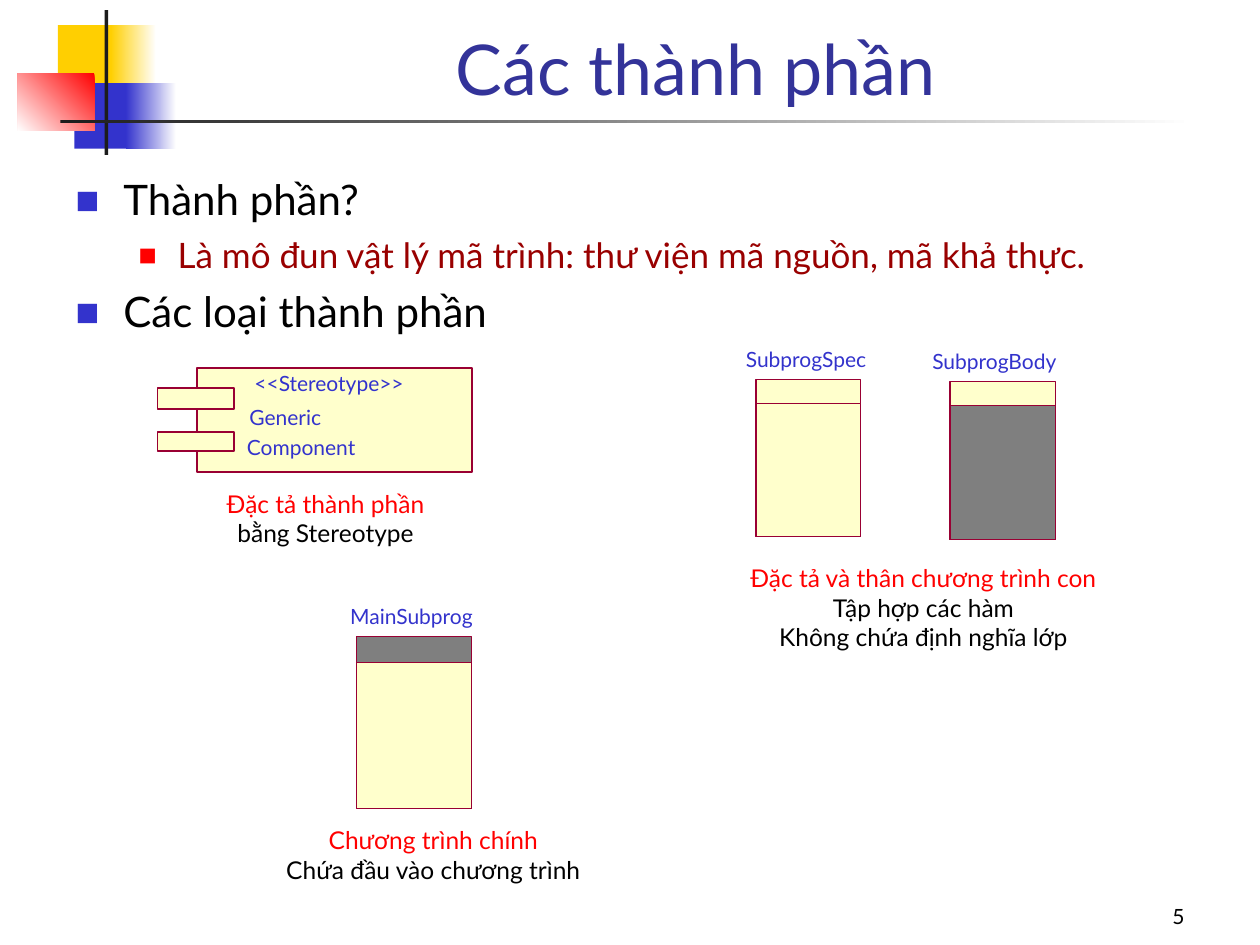
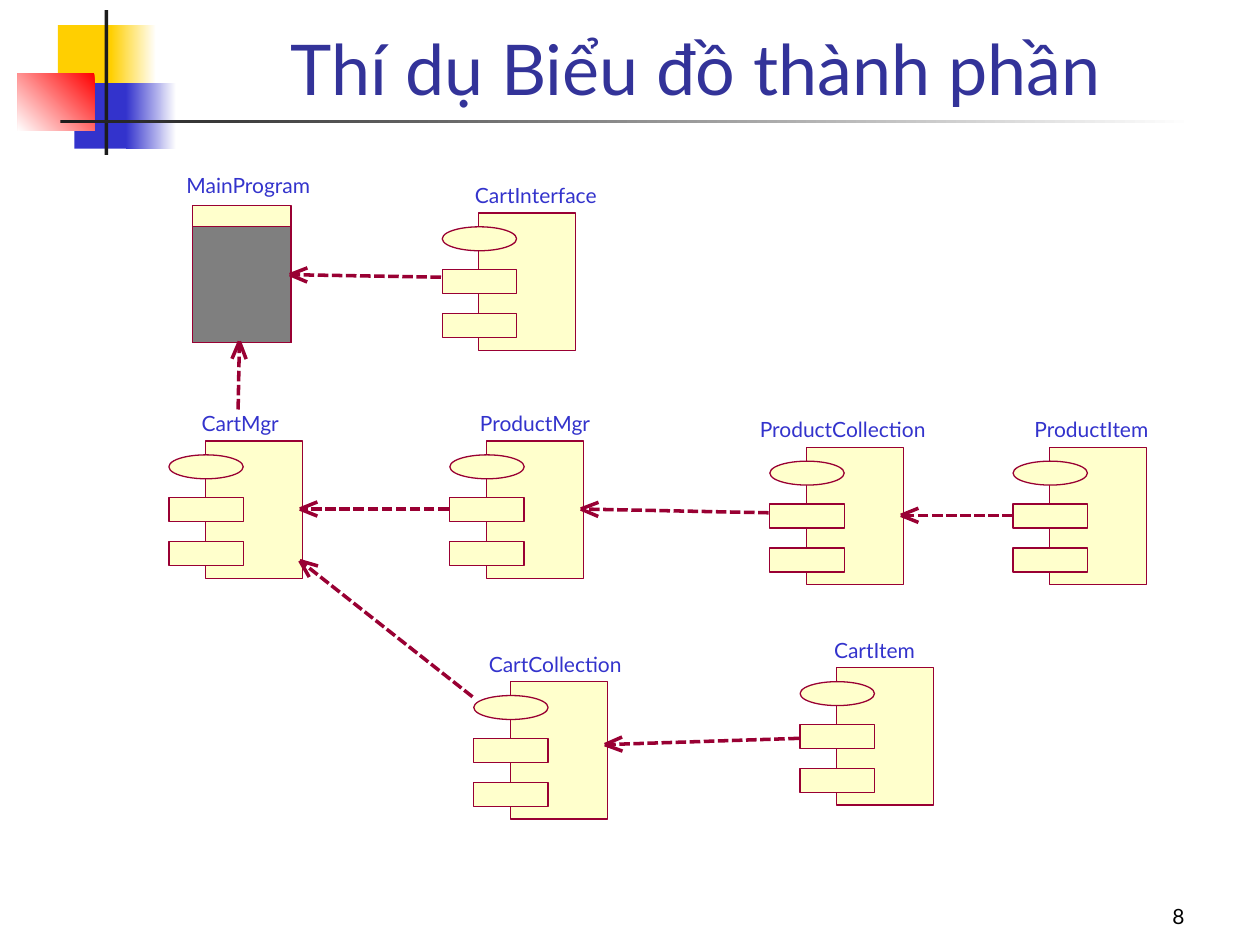
import math
from lxml import etree
from pptx import Presentation, util as u
from pptx.dml.color import RGBColor
from pptx.enum import dml, shapes, text
from pptx.oxml.ns import qn

FONT = "Lato"
WHITE, BLACK, INK = RGBColor(255, 255, 255), RGBColor(0, 0, 0), RGBColor(0x1C, 0x1C, 0x1C)
YELLOW, BLUE, RED = RGBColor(0xFF, 0xCF, 0x01), RGBColor(0x33, 0x33, 0xCC), RGBColor(255, 0, 0)
NAVY, MAROON, DARK_RED = RGBColor(0x33, 0x33, 0x99), RGBColor(0x99, 0, 0x33), RGBColor(0x99, 0, 0)
CREAM, GRAY = RGBColor(0xFF, 0xFF, 0xCC), RGBColor(0x7F, 0x7F, 0x7F)
RECT, OVAL = shapes.MSO_SHAPE.RECTANGLE, shapes.MSO_SHAPE.OVAL
CENTER, RIGHT = text.PP_ALIGN.CENTER, text.PP_ALIGN.RIGHT

# Shared decoration: box, fill (a pair is a gradient), gradient angle
DECOR = [
    ((.46, .2, .48, .52), YELLOW, 0),
    ((.88, .2, .36, .52), (YELLOW, WHITE), 0),
    ((.59, .66, .46, .52), BLUE, 0),
    ((1, .66, .4, .52), (BLUE, WHITE), 0),
    ((.14, .58, .61, .46), (RED, WHITE), 225),
    ((.83, .08, .03, 1.15), INK, 0),
    ((.48, .95, 9, .03), (INK, WHITE), 0),
]

# Slide 1: list, stereotype component, program sheets and captions
BULLETS = [
    (0, "Thành phần?"),
    (1, "Là mô đun vật lý mã trình: thư viện mã nguồn, mã khả thực."),
    (0, "Các loại thành phần"),
]
LEVELS = [  # size, colour, bullet colour, bullet %, left margin, hanging, space before
    (24, BLACK, BLUE, 60, .38, .38, 6),
    (20, DARK_RED, RED, 55, .81, .31, 5),
]
STEREOTYPE_BOXES = [(1.56, 2.92, 2.19, .83), (1.25, 3.08, .61, .17), (1.25, 3.43, .61, .15)]
STEREOTYPE_LABELS = [
    ("<<Stereotype>>", 2.02, 2.94, 1.23),
    ("Generic", 1.98, 3.21, .65),
    ("Component", 1.96, 3.45, .93),
]
SHEETS = [  # name, label x and width, box, head height, head and body fill
    ("SubprogSpec", 5.92, 1.04, (6, 3.01, .83, 1.25), .19, CREAM, CREAM),
    ("SubprogBody", 7.4, 1.07, (7.54, 3.03, .84, 1.25), .19, CREAM, GRAY),
    ("MainSubprog", 2.78, 1.06, (2.83, 5.05, .91, 1.37), .21, GRAY, CREAM),
]
CAPTIONS = [  # box, lines; the first line is red
    ((1.5, 3.83, 2.17, .57), ["Đặc tả thành phần", "bằng Stereotype"]),
    ((5.76, 4.42, 3.14, .8),
     ["Đặc tả và thân chương trình con", "Tập hợp các hàm", "Không chứa định nghĩa lớp"]),
    ((2.06, 6.5, 2.76, .57), ["Chương trình chính", "Chứa đầu vào chương trình"]),
]

# Slide 2: main program, components and dependencies
MAIN_PROGRAM = ("MainProgram", 1.48, 1.08, (1.53, 1.63, .78, 1.09), .17, CREAM, GRAY)
COMPONENTS = [  # name, label x and width, body left and top
    ("CartCollection", 3.88, 1.1, 4.05, 5.41),
    ("ProductCollection", 6.03, 1.39, 6.4, 3.55),
    ("CartInterface", 3.77, 1.04, 3.8, 1.69),
    ("CartMgr", 1.6, .65, 1.63, 3.5),
    ("ProductMgr", 3.81, .94, 3.86, 3.5),
    ("ProductItem", 8.21, .98, 8.33, 3.55),
    ("CartItem", 6.62, .7, 6.64, 5.3),
]
COMPONENT_PARTS = [  # shape, offset from body corner, size
    (RECT, 0, 0, .77, 1.09),
    (OVAL, -.29, .11, .59, .19),
    (RECT, -.29, .45, .59, .19),
    (RECT, -.29, .8, .59, .19),
]
DEPENDENCIES = [  # from, to
    ((3.5, 2.2), (2.3, 2.18)),
    ((1.89, 3.25), (1.9, 2.71)),
    ((3.56, 4.04), (2.38, 4.04)),
    ((3.75, 5.53), (2.38, 4.45)),
    ((6.1, 4.07), (4.61, 4.04)),
    ((8.04, 4.09), (7.15, 4.09)),
    ((6.34, 5.86), (4.8, 5.91)),
]
HEAD_LENGTH, HEAD_ANGLE = .15, math.radians(22)


def inches(values):
    return [u.Inches(v) for v in values]


def put(sp, box):
    sp.left, sp.top, sp.width, sp.height = inches(box)


def shape(slide, box, fill, line=None, kind=RECT, width=0, angle=0):
    sp = slide.shapes.add_shape(kind, *inches(box))
    sp.shadow.inherit = False
    if isinstance(fill, RGBColor):
        sp.fill.solid()
        sp.fill.fore_color.rgb = fill
    else:
        sp.fill.gradient()
        sp.fill.gradient_angle = angle
        for stop, color in zip(sp.fill.gradient_stops, fill):
            stop.color.rgb = color
    if line is None:
        sp.line.fill.background()
    else:
        sp.line.color.rgb = line
        sp.line.width = u.Pt(width)


def write(p, words, size, color, align=None):
    r = p.add_run()
    r.text = words
    for name, value in {"name": FONT, "size": u.Pt(size)}.items():
        setattr(r.font, name, value)
    r.font.color.rgb = color
    p.alignment = align


def textbox(slide, box, lines, size, align=None, **frame):
    """Add a text box; lines are (words, colour) pairs."""
    tf = slide.shapes.add_textbox(*inches(box)).text_frame
    for name, value in frame.items():
        setattr(tf, name, value)
    for i, (words, color) in enumerate(lines):
        p = tf.add_paragraph() if i else tf.paragraphs[0]
        write(p, words, size, color, align)


def label(slide, words, x, y, w):
    textbox(slide, (x, y, w, .2), [(words, BLUE)], 12, word_wrap=False,
            margin_left=0, margin_right=0, margin_top=0, margin_bottom=0)


def line(slide, start, end, dashed=False):
    c = slide.shapes.add_connector(shapes.MSO_CONNECTOR.STRAIGHT, *inches(start + end))
    c.line.color.rgb = MAROON
    c.line.width = 0
    if dashed:
        c.line.dash_style = dml.MSO_LINE.SQUARE_DOT
    etree.SubElement(c.element.spPr, qn("a:effectLst"))


def dependency(slide, start, end):
    """Dashed line with an open arrowhead at its end."""
    line(slide, start, end, dashed=True)
    back = math.atan2(start[1] - end[1], start[0] - end[0])
    for turn in (back - HEAD_ANGLE, back + HEAD_ANGLE):
        tip = (end[0] + HEAD_LENGTH * math.cos(turn), end[1] + HEAD_LENGTH * math.sin(turn))
        line(slide, end, tip)


def sheet(slide, name, label_x, label_w, box, head, head_fill, body_fill):
    x, y, w, h = box
    shape(slide, box, head_fill, MAROON)
    shape(slide, (x, y + head, w, h - head), body_fill, MAROON)
    label(slide, name, label_x, y - .26, label_w)


def component(slide, name, label_x, label_w, x, y):
    for kind, dx, dy, w, h in COMPONENT_PARTS:
        shape(slide, (x + dx, y + dy, w, h), CREAM, MAROON, kind)
    label(slide, name, label_x, y - .24, label_w)


def bullet(p, level, words):
    size, color, mark_color, percent, left, hang, before = LEVELS[level]
    p.level = level
    p.space_before = u.Pt(before)
    write(p, words, size, color)
    pPr = p._p.get_or_add_pPr()
    pPr.set("marL", str(u.Inches(left)))
    pPr.set("indent", str(-u.Inches(hang)))
    mark = etree.SubElement(pPr, qn("a:buClr"))
    etree.SubElement(mark, qn("a:srgbClr"), val=str(mark_color))
    etree.SubElement(pPr, qn("a:buSzPct"), val=str(percent * 1000))
    etree.SubElement(pPr, qn("a:buFont"), typeface=FONT)
    etree.SubElement(pPr, qn("a:buChar"), char="■")


def new_slide(prs, layout, title, number):
    slide = prs.slides.add_slide(prs.slide_layouts[layout])
    for box, fill, angle in DECOR:
        shape(slide, box, fill, angle=angle)
    sp = slide.shapes.title
    put(sp, (1.26, .08, 8.52, .84))
    sp.text_frame.vertical_anchor = text.MSO_ANCHOR.BOTTOM
    sp.text_frame.auto_size = text.MSO_AUTO_SIZE.NONE
    write(sp.text_frame.paragraphs[0], title, 40, NAVY, CENTER)
    textbox(slide, (7.42, 6.92, 2.08, .5), [(number, BLACK)], 12, RIGHT,
            word_wrap=True, vertical_anchor=text.MSO_ANCHOR.BOTTOM)
    return slide


def component_kinds(prs):
    slide = new_slide(prs, 1, "Các thành phần", "5")
    body = slide.placeholders[1]
    put(body, (.5, 1.33, 9.29, 5.5))
    tf = body.text_frame
    tf.auto_size = text.MSO_AUTO_SIZE.NONE
    for i, (level, words) in enumerate(BULLETS):
        bullet(tf.add_paragraph() if i else tf.paragraphs[0], level, words)
    for box in STEREOTYPE_BOXES:
        shape(slide, box, CREAM, MAROON, width=1.13)
    for item in STEREOTYPE_LABELS:
        label(slide, *item)
    for item in SHEETS:
        sheet(slide, *item)
    for box, (first, *rest) in CAPTIONS:
        textbox(slide, box, [(first, RED)] + [(words, BLACK) for words in rest], 14, CENTER,
                word_wrap=False)


def component_diagram(prs):
    slide = new_slide(prs, 5, "Thí dụ Biểu đồ thành phần", "8")
    sheet(slide, *MAIN_PROGRAM)
    for item in COMPONENTS:
        component(slide, *item)
    for start, end in DEPENDENCIES:
        dependency(slide, start, end)


def main():
    prs = Presentation()
    prs.slide_width, prs.slide_height = inches((10, 7.5))
    component_kinds(prs)
    component_diagram(prs)
    prs.save("out.pptx")


if __name__ == "__main__":
    main()
